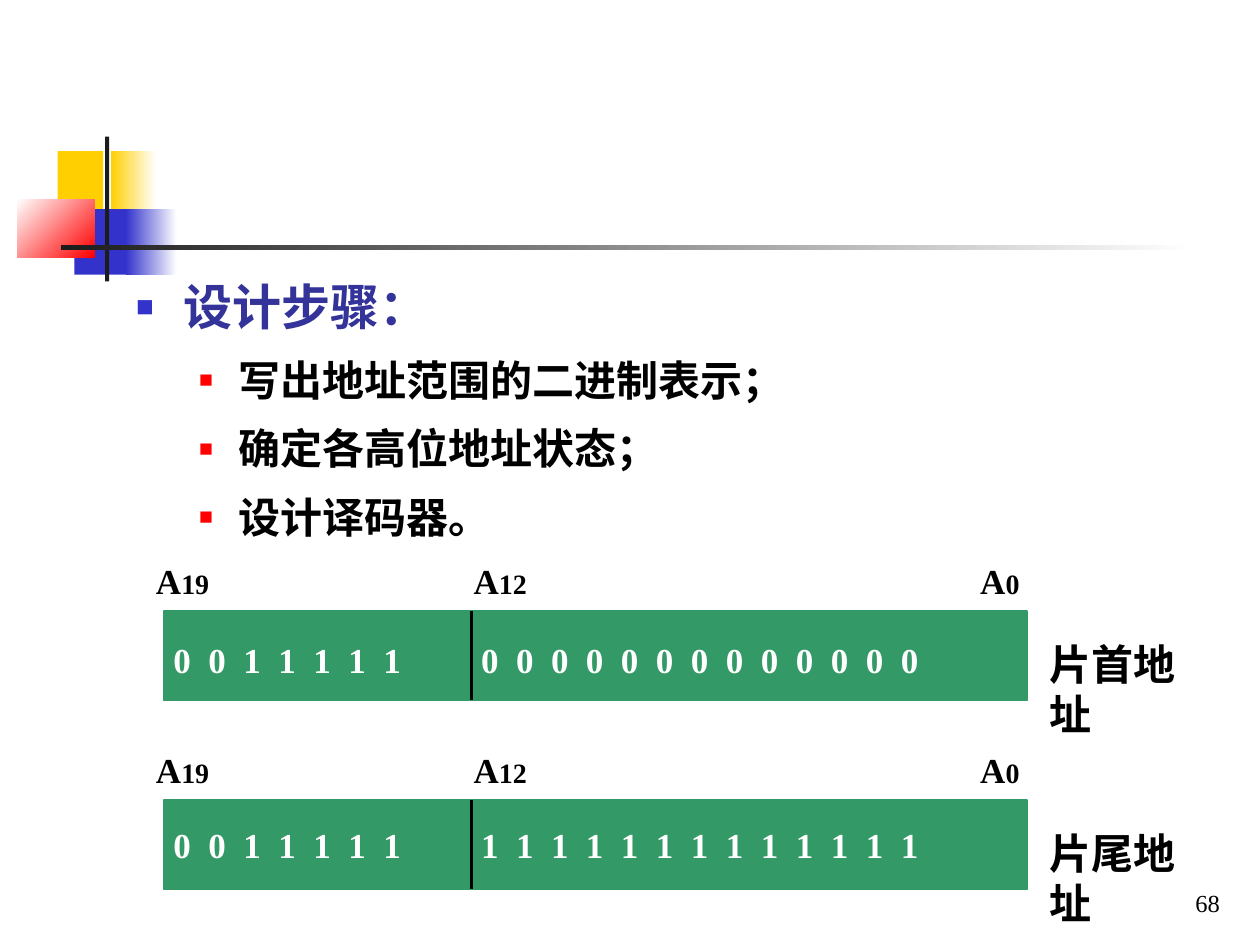
from lxml import etree
from pptx import Presentation
from pptx.dml.color import RGBColor
from pptx.enum.shapes import MSO_CONNECTOR, MSO_SHAPE
from pptx.enum.text import MSO_ANCHOR, MSO_AUTO_SIZE, PP_ALIGN
from pptx.oxml.ns import qn
from pptx.util import Pt

RECT = MSO_SHAPE.RECTANGLE
STRAIGHT = MSO_CONNECTOR.STRAIGHT
TOP, BOTTOM = MSO_ANCHOR.TOP, MSO_ANCHOR.BOTTOM
LEFT, RIGHT = PP_ALIGN.LEFT, PP_ALIGN.RIGHT
GROW, FIXED = MSO_AUTO_SIZE.SHAPE_TO_FIT_TEXT, MSO_AUTO_SIZE.NONE

# Content
STEPS = [
    ("设计步骤：", "heading"),
    ("写出地址范围的二进制表示；", "step"),
    ("确定各高位地址状态；", "step"),
    ("设计译码器。", "step"),
]
HIGH_BITS = "0011111"
ADDRESSES = [  # caption, low bits, drop of the bits below the bar top
    ("片首地址", "0" * 13, 12),
    ("片尾地址", "1" * 13, 10),
]
BIT_MARKS = [("19", 82), ("12", 263.5), ("0", 553)]  # address line, left
PAGE_NUMBER = "68"

# Theme
THEME = {
    "latin": "Times New Roman", "body": "Arial",
    "ink": "000000", "paper": "FFFFFF", "bar": "339966", "rule": "1C1C1C",
    "yellow": "FFCF01", "blue": "3333CC", "red": "FF0000",
    "caption_size": 24, "bit_size": 20, "index_size": 16, "page_size": 14,
}
LEVELS = {
    "heading": dict(level=0, size=28, color="333399", bullet="blue", scale=60,
                    margin=27, hang=27, before=0, after=1.8),
    "step": dict(level=1, size=24, color="000000", bullet="red", scale=55,
                 margin=58.5, hang=22.5, before=6, after=1.5),
}

# Corner ornament: left, top, width, height, colours, clockwise angle
ORNAMENT = [
    (33, 86.4, 26, 37.4, ["yellow"], 0),
    (63.2, 86.4, 26, 37.4, ["yellow", "paper"], 0),
    (42.5, 119.5, 33, 37.4, ["blue"], 0),
    (72, 119.5, 29, 37.4, ["blue", "paper"], 0),
    (10, 113.8, 44, 33.2, ["paper", "red"], 45),
    (60, 78, 2.4, 82.8, ["rule"], 0),
    (34.8, 140.2, 648, 2.4, ["rule", "paper"], 0),
]

# Address bars
BAR_LEFT, BAR_TOP, BAR_WIDTH, BAR_HEIGHT = 93.6, 349.2, 493.2, 51.1
BAR_PITCH, SPLIT_X = 108, 269.3
BIT_PITCH = 20


def rgb(name):
    return RGBColor.from_string(THEME.get(name, name))


def apply(target, values):
    for key, value in values.items():
        setattr(target, key, value)


def add_block(slide, left, top, width, height, colors, angle=0):
    block = slide.shapes.add_shape(RECT, *map(Pt, (left, top, width, height)))
    block.shadow.inherit = False
    block.line.fill.background()
    if len(colors) == 1:
        block.fill.solid()
        block.fill.fore_color.rgb = rgb(colors[0])
    else:
        block.fill.gradient()
        block.fill.gradient_angle = -angle % 360
        for stop, color in zip(block.fill.gradient_stops, colors):
            stop.color.rgb = rgb(color)
    return block


def add_label(slide, box, runs, color="ink", bold=True, align=LEFT,
              anchor=TOP, auto_size=GROW):
    label = slide.shapes.add_textbox(*map(Pt, box))
    apply(label.text_frame, dict(word_wrap=True, auto_size=auto_size,
                                 vertical_anchor=anchor))
    paragraph = label.text_frame.paragraphs[0]
    paragraph.alignment = align
    for text, size in runs:
        run = paragraph.add_run()
        run.text = text
        apply(run.font, dict(name=THEME["latin"], size=Pt(THEME[size]), bold=bold))
        run.font.color.rgb = rgb(color)
    return label


def add_bits(slide, left, top, width, bits):
    label = add_label(slide, (left, top, width, 31.5),
                      [(" ".join(bits), "bit_size")], "paper")
    # A digit and a space take 0.75 em; tracking fills up the bit pitch
    tracking = (BIT_PITCH - 0.75 * THEME["bit_size"]) / 2
    run = label.text_frame.paragraphs[0].runs[0]
    run.font._element.set("spc", str(round(tracking * 100)))


def add_step(paragraph, text, style):
    properties = paragraph._p.get_or_add_pPr()
    properties.set("marL", str(Pt(style["margin"])))
    properties.set("indent", str(-Pt(style["hang"])))
    apply(paragraph, dict(level=style["level"], line_spacing=1.1,
                          space_before=Pt(style["before"]),
                          space_after=Pt(style["after"])))
    bullet_color = etree.SubElement(properties, qn("a:buClr"))
    etree.SubElement(bullet_color, qn("a:srgbClr"), val=THEME[style["bullet"]])
    etree.SubElement(properties, qn("a:buSzPct"), val=str(style["scale"] * 1000))
    etree.SubElement(properties, qn("a:buFont"), typeface=THEME["body"])
    etree.SubElement(properties, qn("a:buChar"), char="■")
    run = paragraph.add_run()
    run.text = text
    apply(run.font, dict(name=THEME["body"], size=Pt(style["size"]), bold=True))
    run.font.color.rgb = rgb(style["color"])


def add_address(slide, top, caption, low_bits, drop):
    bar = add_block(slide, BAR_LEFT, top, BAR_WIDTH, BAR_HEIGHT, ["bar"])
    bar.line.color.rgb = rgb("bar")
    bar.line.width = Pt(1)
    split = slide.shapes.add_connector(
        STRAIGHT, *map(Pt, (SPLIT_X, top, SPLIT_X, top + BAR_HEIGHT)))
    split.line.color.rgb = rgb("ink")
    split.line.width = Pt(1.75)
    etree.SubElement(split._element.spPr, qn("a:effectLst"))
    for index, left in BIT_MARKS:
        add_label(slide, (left, top - 33, 57, 31.5),
                  [("A", "bit_size"), (index, "index_size")])
    add_bits(slide, 92, top + drop, 181.5, HIGH_BITS)
    add_bits(slide, 267.8, top + drop, 323.3, low_bits)
    add_label(slide, (592.6, top + 12, 90.7, 65), [(caption, "caption_size")])


def main():
    deck = Presentation()
    deck.slide_width, deck.slide_height = Pt(720), Pt(540)
    slide = deck.slides.add_slide(deck.slide_layouts[1])
    title, body = slide.placeholders
    title._element.getparent().remove(title._element)

    # Ornament, behind the text
    for left, top, width, height, colors, angle in ORNAMENT:
        add_block(slide, left, top, width, height, colors, angle)

    # Design steps
    slide.shapes._spTree.append(body._element)
    apply(body, dict(left=Pt(70.6), top=Pt(151.2), width=Pt(527), height=Pt(162)))
    frame = body.text_frame
    apply(frame, dict(auto_size=FIXED, word_wrap=True, vertical_anchor=TOP))
    for number, (text, level) in enumerate(STEPS):
        paragraph = frame.add_paragraph() if number else frame.paragraphs[0]
        add_step(paragraph, text, LEVELS[level])

    # First and last address of the chip
    for row, address in enumerate(ADDRESSES):
        add_address(slide, BAR_TOP + row * BAR_PITCH, *address)

    # Page number
    add_label(slide, (554.4, 491.8, 149.8, 36), [(PAGE_NUMBER, "page_size")],
              bold=False, align=RIGHT, anchor=BOTTOM, auto_size=FIXED)
    deck.save("out.pptx")


if __name__ == "__main__":
    main()
